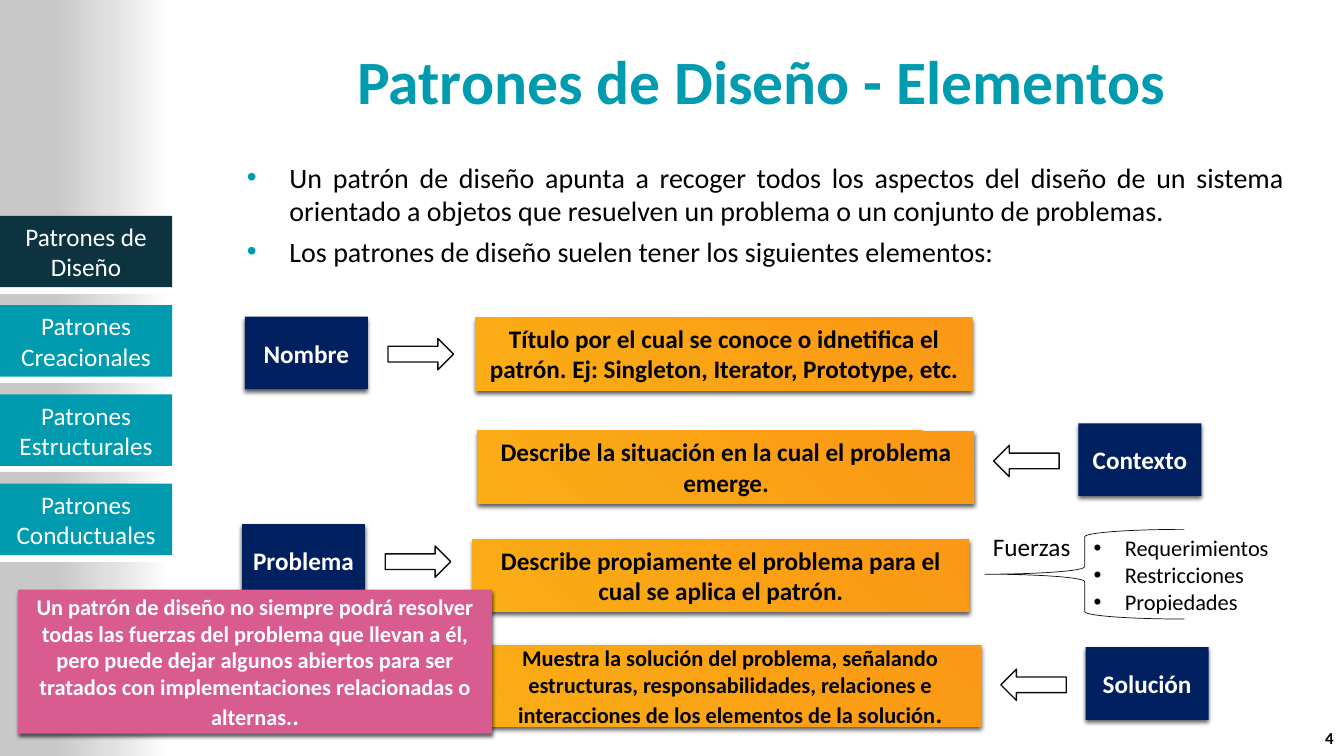
"""Build the slide on the elements of a design pattern."""
from dataclasses import dataclass
from typing import NamedTuple, Optional

from lxml import etree
from pptx import Presentation
from pptx import util as u
from pptx.dml.color import RGBColor
from pptx.enum import shapes, text
from pptx.oxml.ns import nsdecls, qn

WHITE = RGBColor(0xFF, 0xFF, 0xFF)
BLACK = RGBColor(0x00, 0x00, 0x00)
OUTLINE = RGBColor(0x0D, 0x0D, 0x0D)
TEAL = RGBColor(0x00, 0x9B, 0xAF)
DARK_TEAL = RGBColor(0x0D, 0x32, 0x40)
NAVY = RGBColor(0x00, 0x20, 0x60)
PINK = RGBColor(0xD8, 0x5C, 0x90)
AMBER = RGBColor(0xFA, 0xAD, 0x15)
ORANGE = RGBColor(0xFB, 0x98, 0x15)
PALE_GREY = RGBColor(0xE0, 0xE0, 0xE0)
GREY = RGBColor(0xC8, 0xC8, 0xC8)

RECTANGLE = shapes.MSO_SHAPE.RECTANGLE
CENTER = text.PP_ALIGN.CENTER
SIDEBAR_STOPS = [(0, WHITE), (36, PALE_GREY), (67, GREY)]
AMBER_STOPS = [(0, AMBER), (100, ORANGE)]
LEFTWARD = '<a:lin ang="10800000" scaled="0"/>'
FROM_CORNER = '<a:path path="circle"><a:fillToRect t="100000" r="100000"/></a:path>'


class Box(NamedTuple):
    left: float
    top: float
    width: float
    height: float

    def lengths(self) -> list:
        return [u.Cm(value) for value in self]


class Style(NamedTuple):
    size: float
    color: RGBColor = BLACK
    bold: bool = False
    align: text.PP_ALIGN = CENTER


@dataclass
class Element:
    name: str
    left: float
    top: float
    description: str
    place: Box
    size: float = 18
    tail: str = ""
    points_left: bool = False


NAVIGATION = ["Patrones de Diseño", "Patrones Creacionales",
              "Patrones Estructurales", "Patrones Conductuales"]
INTRODUCTION = [
    "Un patrón de diseño apunta a recoger todos los aspectos del diseño de un sistema "
    "orientado a objetos que resuelven un problema o un conjunto de problemas.",
    "Los patrones de diseño suelen tener los siguientes elementos:",
]
FORCES = ["Requerimientos", "Restricciones", "Propiedades"]
ELEMENTS = [
    Element("Nombre", 6.17, 7.98,
            "Título por el cual se conoce o idnetifica el patrón. "
            "Ej: Singleton, Iterator, Prototype, etc.",
            Box(11.99, 8, 12.52, 1.83)),
    Element("Contexto", 27.18, 10.67,
            "Describe la situación en la cual el problema emerge.",
            Box(12.04, 10.85, 12.52, 1.83), points_left=True),
    Element("Problema", 6.1, 13.21,
            "Describe propiamente el problema para el cual se aplica el patrón.",
            Box(11.91, 13.59, 12.52, 1.83)),
    Element("Solución", 27.36, 16.31,
            "Muestra la solución del problema, señalando estructuras, responsabilidades, "
            "relaciones e interacciones de los elementos de la solución",
            Box(12.07, 16.26, 12.67, 2.06), size=16, tail=".", points_left=True),
]
CAVEAT = ("Un patrón de diseño no siempre podrá resolver todas las fuerzas del problema "
          "que llevan a él, pero puede dejar algunos abiertos para ser tratados con "
          "implementaciones relacionadas o alternas.")


def write(frame, lines: list[str], style: Style, tail: str = "",
          anchor=text.MSO_ANCHOR.MIDDLE, indent: float = 0,
          bullet_color: RGBColor = BLACK, gap: float = 0) -> None:
    """Fill a text frame, with bullets when an indent is given."""
    frame.word_wrap = True
    frame.auto_size = text.MSO_AUTO_SIZE.NONE
    frame.vertical_anchor = anchor
    for index, line in enumerate(lines):
        paragraph = frame.paragraphs[0] if index == 0 else frame.add_paragraph()
        paragraph.add_run().text = line
        paragraph.alignment = style.align
        paragraph.space_before = u.Pt(gap if index else 0)
        if indent:
            properties = paragraph._p.get_or_add_pPr()
            properties.set("marL", str(u.Cm(indent[0] if isinstance(indent, tuple) else indent)))
            properties.set("indent", str(-u.Cm(indent[1] if isinstance(indent, tuple) else indent)))
            color = etree.SubElement(properties, qn("a:buClr"))
            etree.SubElement(color, qn("a:srgbClr"), val=str(bullet_color))
            etree.SubElement(properties, qn("a:buFont"), typeface="Arial")
            etree.SubElement(properties, qn("a:buChar"), char="•")
        font = paragraph.font
        font.name, font.size, font.bold = "Calibri", u.Pt(style.size), style.bold
        font.color.rgb = style.color
    if tail:
        ending = frame.paragraphs[-1].add_run()
        ending.text = tail
        ending.font.size = u.Pt(18)


def draw(slide, box: Box, fill: Optional[RGBColor] = None, kind=RECTANGLE,
         line: Optional[RGBColor] = None, weight: float = 1):
    """Add a flat preset shape."""
    shape = slide.shapes.add_shape(kind, *box.lengths())
    shape.shadow.inherit = False
    if fill is None:
        shape.fill.background()
    else:
        shape.fill.solid()
        shape.fill.fore_color.rgb = fill
    if line is None:
        shape.line.fill.background()
    else:
        shape.line.color.rgb = line
        shape.line.width = u.Pt(weight)
    return shape


def shade(shape, stops: list[tuple[int, RGBColor]], direction: str) -> None:
    """Give an unfilled shape a gradient."""
    colors = "".join(f'<a:gs pos="{position * 1000}"><a:srgbClr val="{color}"/></a:gs>'
                     for position, color in stops)
    gradient = etree.fromstring(f'<a:gradFill {nsdecls("a")} rotWithShape="1">'
                                f'<a:gsLst>{colors}</a:gsLst>{direction}</a:gradFill>')
    properties = shape.element.spPr
    properties.replace(properties.find(qn("a:noFill")), gradient)


def draw_card(slide, box: Box, fill: Optional[RGBColor], words: str,
              style: Style, tail: str = "") -> None:
    """Add a captioned card with a shadow, amber when no fill is given."""
    card = draw(slide, box, fill)
    if fill is None:
        shade(card, AMBER_STOPS, FROM_CORNER)
    shadow = etree.SubElement(card.element.spPr.find(qn("a:effectLst")), qn("a:outerShdw"),
                              blurRad=str(u.Pt(3)), dist=str(u.Pt(2)),
                              dir="5400000", rotWithShape="0")
    color = etree.SubElement(shadow, qn("a:srgbClr"), val=str(BLACK))
    etree.SubElement(color, qn("a:alpha"), val="64000")
    write(card.text_frame, [words], style, tail)


def draw_element(slide, element: Element) -> None:
    """Add the name, arrow and description of one element."""
    draw_card(slide, element.place, None, element.description,
              Style(element.size, BLACK, True), element.tail)
    draw_card(slide, Box(element.left, element.top, 3.1, 1.83), NAVY,
              element.name, Style(18, WHITE, True))
    offset = -2.14 if element.points_left else 3.61
    arrow = draw(slide, Box(element.left + offset, element.top + 0.55, 1.65, 0.79),
                 kind=shapes.MSO_SHAPE.RIGHT_ARROW, line=OUTLINE)
    arrow.rotation = 180 if element.points_left else 0


def place(holder, box: Box):
    """Move a placeholder and return its text frame."""
    holder.left, holder.top, holder.width, holder.height = box.lengths()
    return holder.text_frame


def main() -> None:
    """Build and save the slide."""
    deck = Presentation()
    deck.slide_width, deck.slide_height = u.Cm(33.87), u.Cm(19.05)
    slide = deck.slides.add_slide(deck.slide_layouts[1])

    shade(draw(slide, Box(-0.03, 0, 4.34, 19.05)), SIDEBAR_STOPS, LEFTWARD)
    for index, topic in enumerate(NAVIGATION):
        top = 5.44 + 2.25 * index
        draw(slide, Box(0, top + 1.81, 4.34, 0.13), WHITE, line=WHITE, weight=1.25)
        button = draw(slide, Box(0, top, 4.34, 1.8), TEAL if index else DARK_TEAL)
        write(button.text_frame, [topic], Style(18, WHITE))

    write(place(slide.shapes.title, Box(5.77, 0.61, 26.85, 2.82)),
          ["Patrones de Diseño - Elementos"], Style(44, TEAL, True))
    write(place(slide.placeholders[1], Box(5.77, 3.91, 26.85, 3.51)), INTRODUCTION,
          Style(20, align=text.PP_ALIGN.JUSTIFY), anchor=text.MSO_ANCHOR.TOP,
          indent=(1.27, 1.07), bullet_color=TEAL, gap=4.8)

    for element in ELEMENTS:
        draw_element(slide, element)
    draw(slide, Box(24.82, 13.34, 5.03, 2.26), kind=shapes.MSO_SHAPE.LEFT_BRACE,
         line=OUTLINE, weight=0.5)
    forces_label = slide.shapes.add_textbox(*Box(24.21, 13.13, 3.58, 1.27).lengths())
    write(forces_label.text_frame, ["Fuerzas"], Style(18))
    forces = slide.shapes.add_textbox(*Box(27.31, 13.34, 6.86, 2.39).lengths())
    write(forces.text_frame, FORCES, Style(16, align=text.PP_ALIGN.LEFT),
          anchor=text.MSO_ANCHOR.TOP, indent=0.79)
    draw_card(slide, Box(0.46, 14.86, 11.94, 3.63), PINK, CAVEAT, Style(16, WHITE, True), ".")
    page_number = slide.shapes.add_textbox(*Box(32.54, 18.16, 1.32, 0.86).lengths())
    write(page_number.text_frame, ["4"], Style(12, BLACK, True, text.PP_ALIGN.RIGHT))
    deck.save("out.pptx")


if __name__ == "__main__":
    main()
